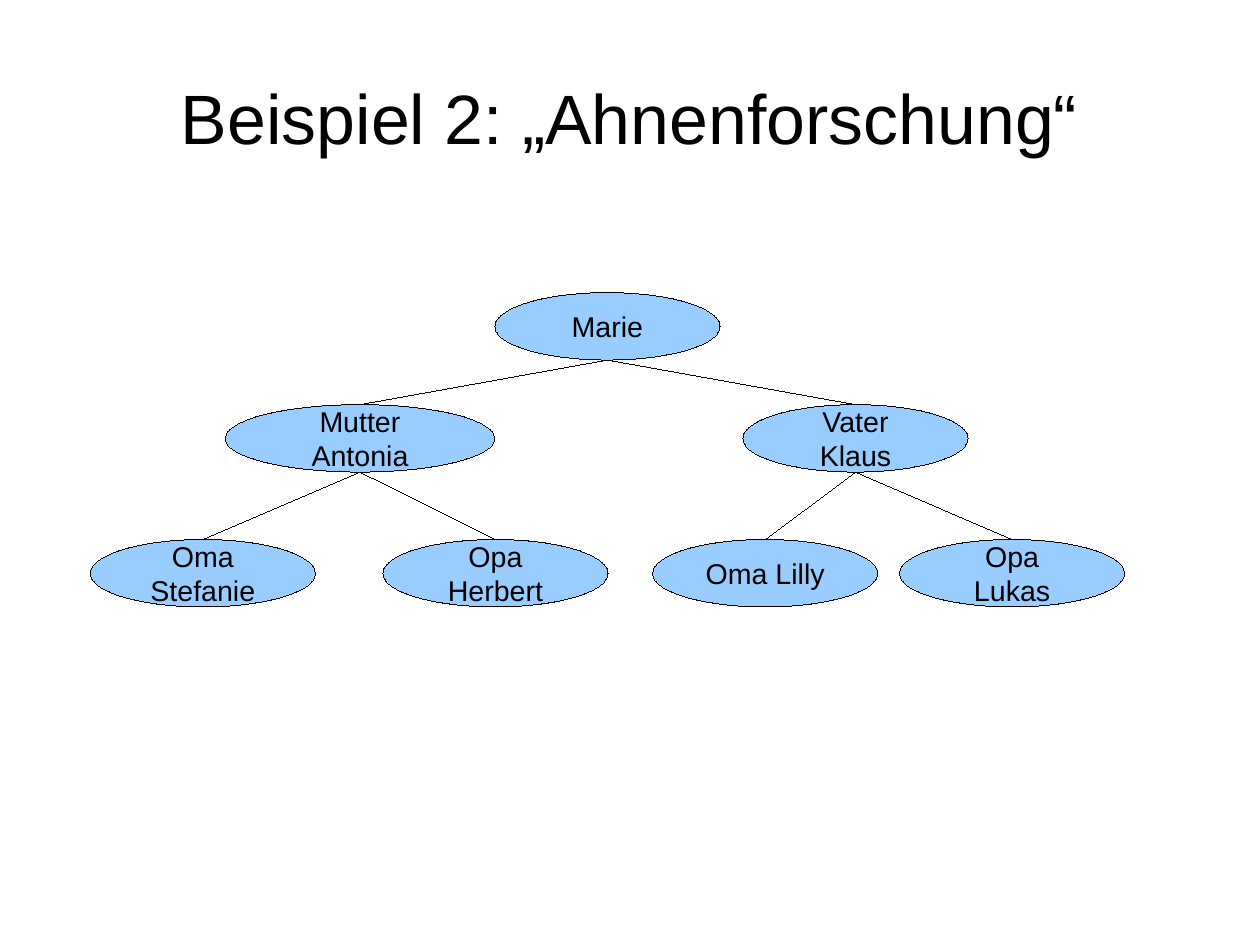
from dataclasses import dataclass

from lxml import etree
from pptx import Presentation
from pptx import util as u
from pptx.dml.color import RGBColor
from pptx.enum import shapes, text
from pptx.oxml import ns

BLACK = "000000"
LIGHT_BLUE = "99CCFF"
CM_PER_INCH = 2.54
NODE_HEIGHT = 0.59
LEVEL_TOPS = (2.56, 3.54, 4.72)


@dataclass(frozen=True)
class Person:
    label: str
    level: int
    left: float
    width: float = 1.97
    child: str = ""


FAMILY = (
    Person("Marie", 0, 4.33),
    Person("Mutter Antonia", 1, 1.97, 2.36, child="Marie"),
    Person("Vater Klaus", 1, 6.5, child="Marie"),
    Person("Oma Stefanie", 2, 0.79, child="Mutter Antonia"),
    Person("Opa Herbert", 2, 3.35, child="Mutter Antonia"),
    Person("Oma Lilly", 2, 5.71, child="Vater Klaus"),
    Person("Opa Lukas", 2, 7.87, child="Vater Klaus"),
)


def color(value: str) -> RGBColor:
    return RGBColor.from_string(value)


def write(tf, content: str, size: float, margins: tuple[float, float]) -> None:
    side, edge = (u.Inches(m) for m in margins)
    frame_format = {
        "word_wrap": True,
        "vertical_anchor": text.MSO_ANCHOR.MIDDLE,
        "margin_left": side,
        "margin_right": side,
        "margin_top": edge,
        "margin_bottom": edge,
    }
    for name, value in frame_format.items():
        setattr(tf, name, value)
    p = tf.paragraphs[0]
    p.alignment = text.PP_ALIGN.CENTER
    r = p.add_run()
    r.text = content
    for name, value in {"name": "Arial", "size": u.Pt(size)}.items():
        setattr(r.font, name, value)
    r.font.color.rgb = color(BLACK)


def set_hairline(sp) -> None:
    """Write the zero width explicitly, as line.width omits it."""
    sp.line.color.rgb = color(BLACK)
    sp._element.spPr.find(ns.qn("a:ln")).set("w", "0")


def add_person(tree, person: Person):
    sp = tree.shapes.add_shape(
        shapes.MSO_SHAPE.OVAL,
        u.Inches(person.left), u.Inches(LEVEL_TOPS[person.level]),
        u.Inches(person.width), u.Inches(NODE_HEIGHT),
    )
    sp.shadow.inherit = False
    sp.fill.solid()
    sp.fill.fore_color.rgb = color(LIGHT_BLUE)
    set_hairline(sp)
    write(sp.text_frame, person.label, 18, (0.1, 0.05))
    return sp


def add_branch(tree, child, parent) -> None:
    """Link the bottom of the child's oval to the top of the parent's oval."""
    branch = tree.shapes.add_connector(
        shapes.MSO_CONNECTOR.STRAIGHT,
        child.left + child.width // 2, child.top + child.height,
        parent.left + parent.width // 2, parent.top,
    )
    branch.end_connect(parent, 0)
    set_hairline(branch)
    etree.SubElement(branch._element.spPr, ns.qn("a:effectLst"))


def main() -> None:
    prs = Presentation()
    prs.slide_width = u.Inches(28 / CM_PER_INCH)
    prs.slide_height = u.Inches(21 / CM_PER_INCH)
    s = prs.slides.add_slide(prs.slide_layouts[5])

    title = s.shapes.title
    box = {"left": 0.55, "top": 0.38, "width": 9.92, "height": 1.28}
    for name, value in box.items():
        setattr(title, name, u.Inches(value))
    write(title.text_frame, "Beispiel 2: „Ahnenforschung“", 44, (0, 0))

    tree = s.shapes.add_group_shape()
    nodes = {person.label: add_person(tree, person) for person in FAMILY}
    for person in FAMILY:
        if person.child:
            add_branch(tree, nodes[person.child], nodes[person.label])

    prs.save("out.pptx")


if __name__ == "__main__":
    main()
